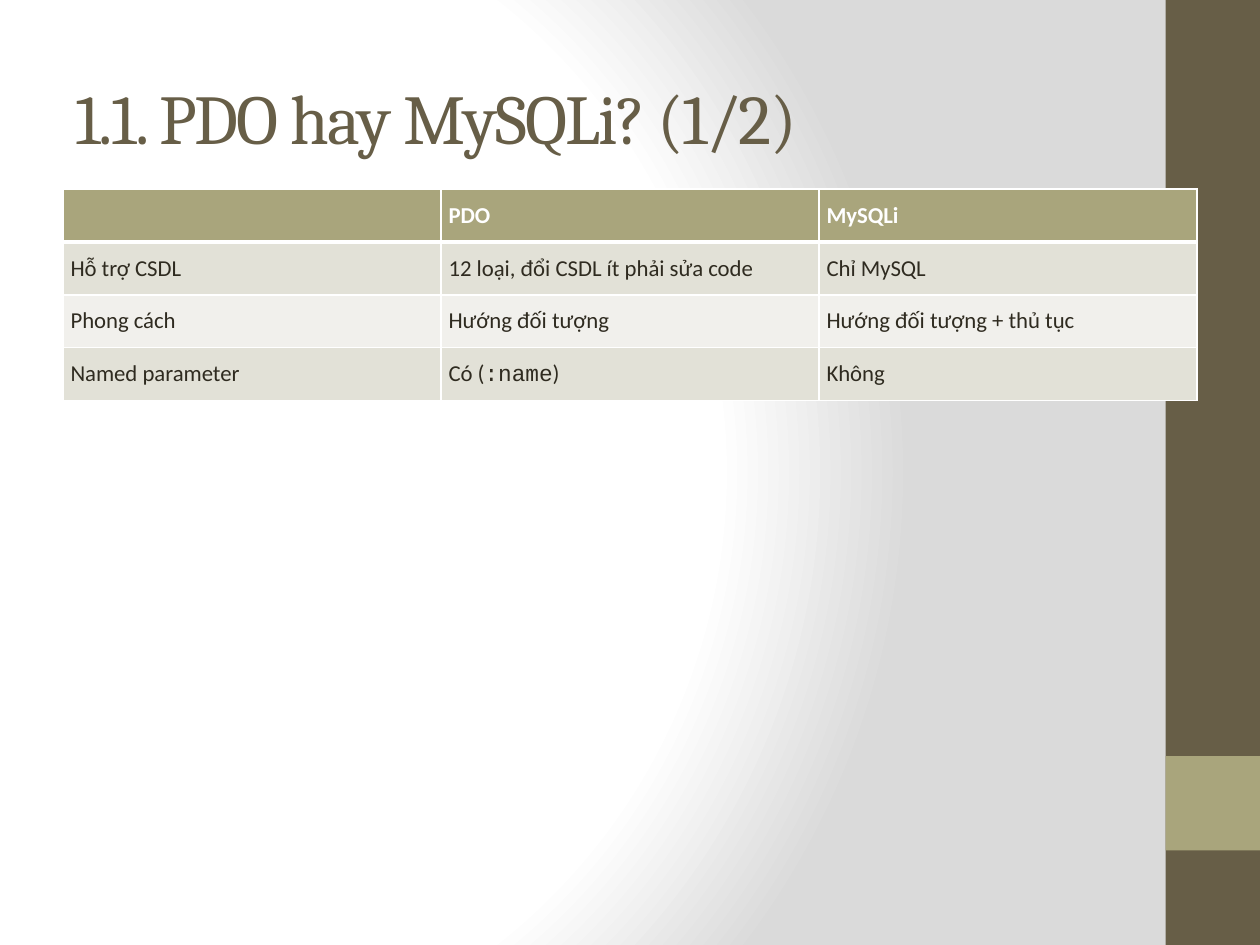
from dataclasses import dataclass

from lxml import etree
from pptx import Presentation
from pptx.dml.color import RGBColor
from pptx.enum.shapes import MSO_SHAPE
from pptx.enum.text import MSO_ANCHOR
from pptx.oxml import parse_xml
from pptx.oxml.ns import qn
from pptx.util import Inches, Pt

RECT = MSO_SHAPE.RECTANGLE
MIDDLE = MSO_ANCHOR.MIDDLE
NS = "http://schemas.openxmlformats.org/drawingml/2006/main"


@dataclass(frozen=True)
class Theme:
    brown: str = "675E47"
    olive: str = "A9A57C"
    ink: str = "2F2B20"
    white: str = "FFFFFF"
    gray: str = "DADADA"
    bands: tuple = ("E2E1D7", "F1F0EC")
    head: str = "Cambria"
    body: str = "Calibri"
    code: str = "Courier New"
    big: int = 40
    small: int = 13


class Deck:
    def __init__(self, theme):
        self.theme = theme
        self.prs = Presentation()
        self.prs.slide_width = Inches(10)
        self.prs.slide_height = Inches(7.5)
        self.slide = self.prs.slides.add_slide(self.prs.slide_layouts[6])

    def glow(self):
        stops = ((0, self.theme.white), (75, self.theme.white), (100, self.theme.gray))
        marks = "".join(
            f'<a:gs pos="{pos * 1000}"><a:srgbClr val="{tone}"/></a:gs>'
            for pos, tone in stops
        )
        grad = parse_xml(
            f'<a:gradFill xmlns:a="{NS}" rotWithShape="1"><a:gsLst>{marks}</a:gsLst>'
            '<a:path path="circle"><a:fillToRect l="20000" t="50000" '
            'r="100000" b="50000"/></a:path></a:gradFill>'
        )
        self.slide.background.fill.solid()
        props = self.slide._element.cSld.find(f".//{qn('p:bgPr')}")
        props.replace(props[0], grad)

    def bar(self, box, tone):
        shape = self.slide.shapes.add_shape(RECT, *map(Inches, box))
        shape.shadow.inherit = False
        shape.fill.solid()
        shape.fill.fore_color.rgb = RGBColor.from_string(tone)
        shape.line.fill.background()

    def run(self, para, text, face, size, tone, bold=False):
        run = para.add_run()
        run.text = text
        font = run.font
        font.name, font.size, font.bold = face, Pt(size), bold
        font.color.rgb = RGBColor.from_string(tone)
        return run

    def title(self, box, text):
        frame = self.slide.shapes.add_textbox(*map(Inches, box)).text_frame
        frame.word_wrap = True
        frame.vertical_anchor = MIDDLE
        look = self.theme
        run = self.run(frame.paragraphs[0], text, look.head, look.big, look.brown)
        run._r.get_or_add_rPr().set("spc", "-100")

    def edge(self, cell, side, width):
        line = etree.Element(qn(f"a:ln{side}"), w=str(Pt(width)))
        fill = etree.SubElement(line, qn("a:solidFill"))
        etree.SubElement(fill, qn("a:srgbClr"), val=self.theme.white)
        return line

    def cell(self, cell, parts, tone, ink, bold, top, foot):
        cell.margin_left = cell.margin_right = Inches(0.06)
        cell.margin_top = cell.margin_bottom = Inches(0.03)
        cell.vertical_anchor = MIDDLE
        cell.fill.solid()
        cell.fill.fore_color.rgb = RGBColor.from_string(tone)
        props = cell._tc.get_or_add_tcPr()
        sides = {"L": 1, "R": 1, "T": top, "B": foot}
        for spot, (side, width) in enumerate(sides.items()):
            props.insert(spot, self.edge(cell, side, width))
        para = cell.text_frame.paragraphs[0]
        para.font.size = Pt(self.theme.small)
        for text, face in parts:
            self.run(para, text, face, self.theme.small, ink, bold)

    def table(self, box, rows):
        look = self.theme
        grid = self.slide.shapes.add_table(
            len(rows), len(rows[0]), *map(Inches, box)
        ).table
        for r, row in enumerate(rows):
            head = r == 0
            tone = look.olive if head else look.bands[(r - 1) % 2]
            ink = look.white if head else look.ink
            top, foot = 3 if r == 1 else 1, 3 if head else 1
            for c, item in enumerate(row):
                parts = [(item, look.body)] if isinstance(item, str) else item
                parts = [part for part in parts if part[0]]
                self.cell(grid.cell(r, c), parts, tone, ink, head, top, foot)


def main():
    look = Theme()
    deck = Deck(look)
    deck.glow()
    deck.bar((9.25, 0, 0.75, 7.5), look.brown)
    deck.bar((9.25, 6, 0.75, 0.75), look.olive)
    deck.title((0.5, 0.3, 8.33, 1.25), "1.1. PDO hay MySQLi? (1/2)")
    named = [("Có (", look.body), (":name", look.code), (")", look.body)]
    deck.table((0.5, 1.5, 9, 1.68), [
        ("", "PDO", "MySQLi"),
        ("Hỗ trợ CSDL", "12 loại, đổi CSDL ít phải sửa code", "Chỉ MySQL"),
        ("Phong cách", "Hướng đối tượng", "Hướng đối tượng + thủ tục"),
        ("Named parameter", named, "Không"),
    ])
    deck.prs.save("out.pptx")


if __name__ == "__main__":
    main()
